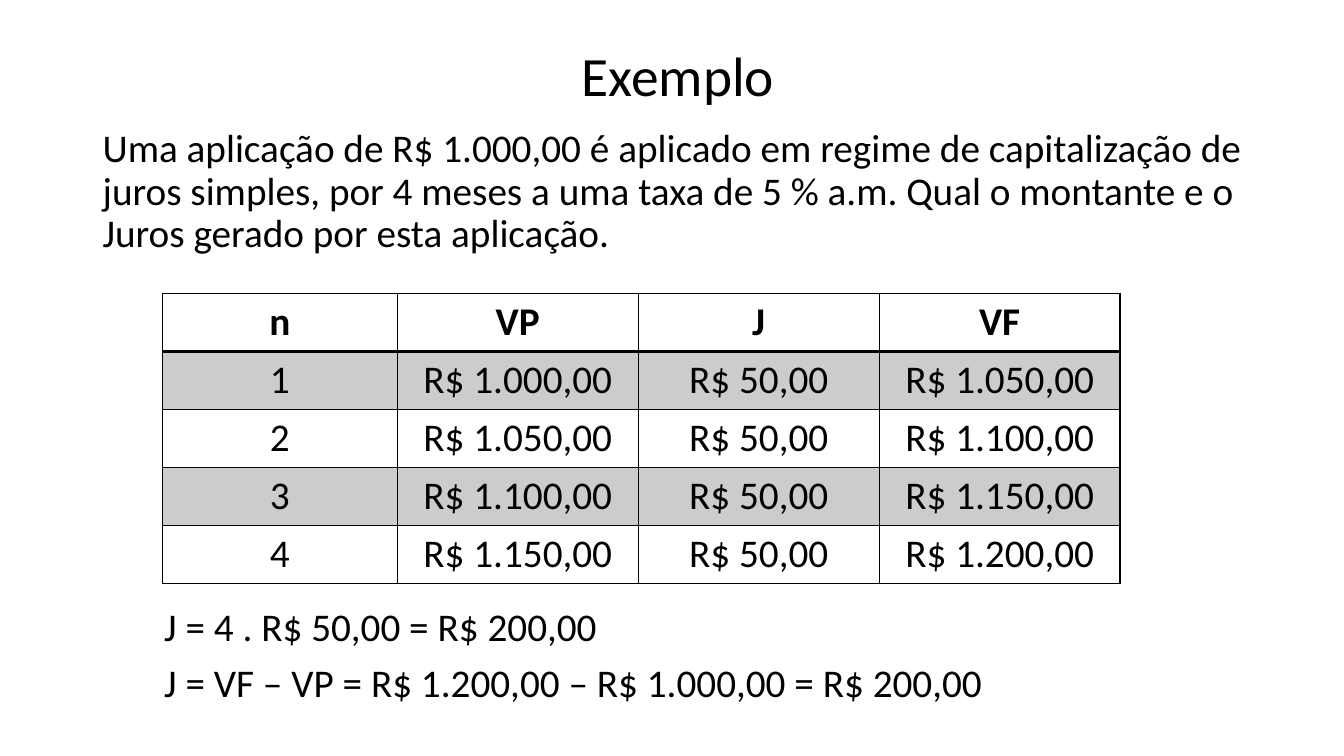
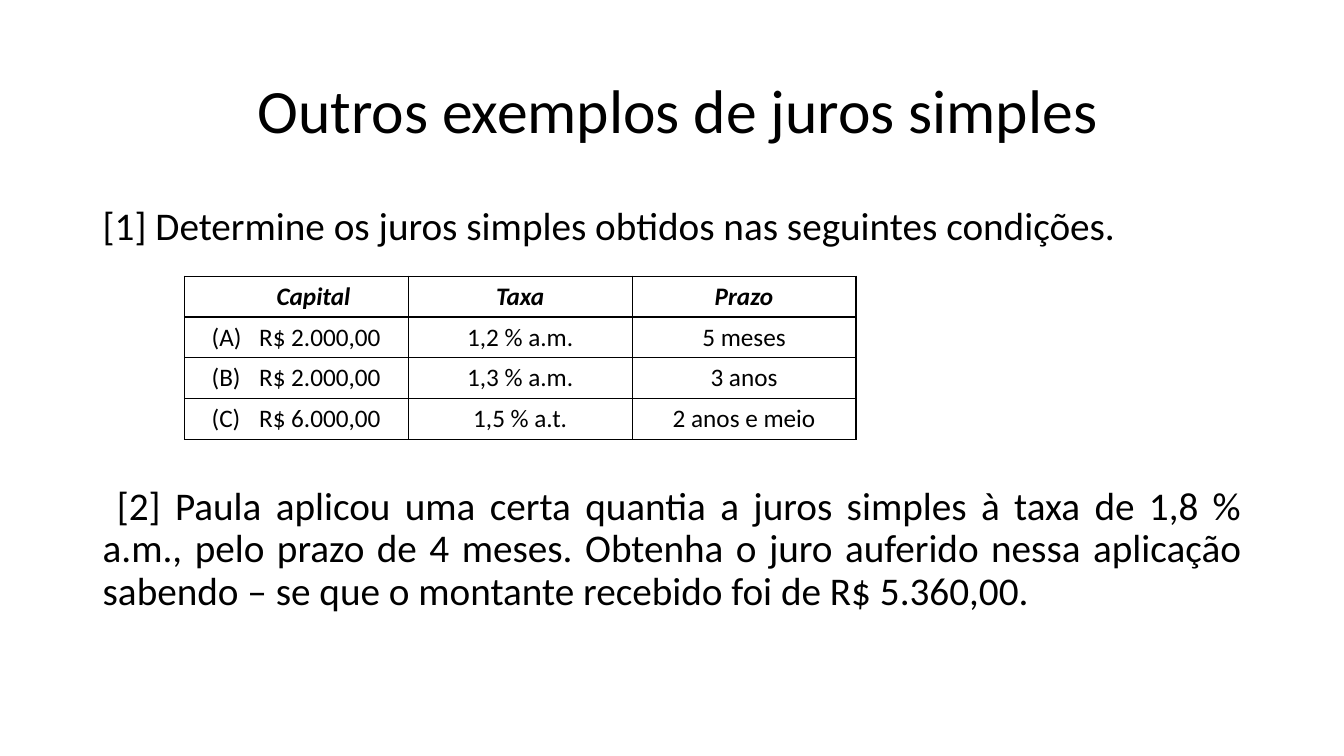
from lxml.etree import SubElement
from pptx import Presentation
from pptx.dml.color import RGBColor
from pptx.enum.text import MSO_ANCHOR, PP_ALIGN
from pptx.oxml.ns import qn
from pptx.util import Inches, Pt

# Shared look
FONT = "Calibri"
INK, BAND = "000000", "CCCCCC"
BODY_SIZE = 28
SLIDE_W, SLIDE_H = 13.33, 7.5
MARGIN = 0.92
CONTENT_W = SLIDE_W - 2 * MARGIN
TITLE_LEFT, TITLE_TOP = 0.98, 0.4


def color(hex_code):
    return RGBColor.from_string(hex_code)


def style_paragraph(paragraph, size, align, **font_values):
    paragraph.alignment = align
    values = {"name": FONT, "size": Pt(size), **font_values}
    for run in paragraph.runs:
        for attribute, value in values.items():
            setattr(run.font, attribute, value)
        run.font.color.rgb = color(INK)


def add_text(slide, box, lines, size=BODY_SIZE, align=PP_ALIGN.LEFT,
             anchor=MSO_ANCHOR.TOP, first_indent=0):
    """Place one paragraph per line inside box (left, top, width, height)."""
    frame = slide.shapes.add_textbox(*map(Inches, box)).text_frame
    frame.word_wrap = True
    frame.vertical_anchor = anchor
    frame.text = "\n".join(lines)
    for paragraph in frame.paragraphs:
        style_paragraph(paragraph, size, align)
        paragraph.line_spacing = 0.9
        paragraph.space_before = Pt(10)
        if first_indent:
            properties = paragraph._p.get_or_add_pPr()
            properties.set("marL", "0")
            properties.set("indent", str(Inches(first_indent)))


def add_title(slide, text, height, size):
    add_text(slide, (TITLE_LEFT, TITLE_TOP, CONTENT_W, height), [text], size,
             PP_ALIGN.CENTER, MSO_ANCHOR.MIDDLE)


def set_borders(cell, bottom_width):
    widths = {"lnL": 1, "lnR": 1, "lnT": 1, "lnB": bottom_width}
    properties = cell._tc.get_or_add_tcPr()
    for side, width in widths.items():
        line = SubElement(properties, qn(f"a:{side}"), w=str(Pt(width)))
        fill = SubElement(line, qn("a:solidFill"))
        SubElement(fill, qn("a:srgbClr"), val=INK)


def add_grid(slide, box, rows, size, column_widths, banded=False,
             italic_header=False):
    """Draw a ruled table; the first row is the bold header."""
    table = slide.shapes.add_table(len(rows), len(rows[0]),
                                   *map(Inches, box)).table
    table.first_row = table.horz_banding = False
    for column, width in zip(table.columns, column_widths):
        column.width = Inches(width)
    for r, row in enumerate(rows):
        header = r == 0
        for c, text in enumerate(row):
            cell = table.cell(r, c)
            cell.text = text
            cell.vertical_anchor = MSO_ANCHOR.TOP
            style_paragraph(cell.text_frame.paragraphs[0], size,
                            PP_ALIGN.CENTER, bold=header,
                            italic=header and italic_header)
            set_borders(cell, 2 if header and banded else 1)
            if banded and r % 2:
                cell.fill.solid()
                cell.fill.fore_color.rgb = color(BAND)
            else:
                cell.fill.background()
    return table


def align_item_column(table, header_margin, item_margin, value_tab):
    """Line up the item letters and the amounts of the first column."""
    table.cell(0, 0).margin_left = Inches(header_margin)
    for r in range(1, len(table.rows)):
        cell = table.cell(r, 0)
        cell.margin_left = Inches(item_margin)
        paragraph = cell.text_frame.paragraphs[0]
        paragraph.alignment = PP_ALIGN.LEFT
        tabs = SubElement(paragraph._p.get_or_add_pPr(), qn("a:tabLst"))
        SubElement(tabs, qn("a:tab"), pos=str(Inches(value_tab)), algn="l")


def build_worked_example(slide):
    add_title(slide, "Exemplo", 0.76, 39.6)
    # Problem statement
    add_text(slide, (MARGIN, 1.23, CONTENT_W, 1.5), [
        "Uma aplicação de R$ 1.000,00 é aplicado em regime de capitalização "
        "de juros simples, por 4 meses a uma taxa de 5 % a.m. Qual o montante "
        "e o Juros gerado por esta aplicação."])
    # Month by month table
    add_grid(slide, (1.61, 2.91, 9.5, 2.88), [
        ("n", "VP", "J", "VF"),
        ("1", "R$ 1.000,00", "R$ 50,00", "R$ 1.050,00"),
        ("2", "R$ 1.050,00", "R$ 50,00", "R$ 1.100,00"),
        ("3", "R$ 1.100,00", "R$ 50,00", "R$ 1.150,00"),
        ("4", "R$ 1.150,00", "R$ 50,00", "R$ 1.200,00"),
    ], BODY_SIZE, [2.33] + [2.39] * 3, banded=True)
    # Total interest
    add_text(slide, (1.53, 5.98, CONTENT_W - 0.61, 1.2), [
        "J = 4 . R$ 50,00 = R$ 200,00",
        "J = VF – VP = R$ 1.200,00 – R$ 1.000,00 = R$ 200,00"])


def build_exercises(slide):
    add_title(slide, "Outros exemplos de juros simples", 1.45, 44)
    # Exercise 1
    add_text(slide, (MARGIN, 2, CONTENT_W, 0.6), [
        "[1] Determine os juros simples obtidos nas seguintes condições."])
    conditions = add_grid(slide, (1.83, 2.74, 6.66, 1.62), [
        ("Capital", "Taxa", "Prazo"),
        ("(A)\tR$ 2.000,00", "1,2 % a.m.", "5 meses"),
        ("(B)\tR$ 2.000,00", "1,3 % a.m.", "3 anos"),
        ("(C)\tR$ 6.000,00", "1,5 % a.t.", "2 anos e meio"),
    ], 18, [2.22] * 3, italic_header=True)
    align_item_column(conditions, 0.44, 0.27, 0.47)
    # Exercise 2
    add_text(slide, (MARGIN, 4.78, CONTENT_W, 1.5), [
        "[2] Paula aplicou uma certa quantia a juros simples à taxa de 1,8 % "
        "a.m., pelo prazo de 4 meses. Obtenha o juro auferido nessa aplicação "
        "sabendo – se que o montante recebido foi de R$ 5.360,00."],
        align=PP_ALIGN.JUSTIFY, first_indent=0.14)


def main():
    deck = Presentation()
    deck.slide_width, deck.slide_height = Inches(SLIDE_W), Inches(SLIDE_H)
    blank = deck.slide_layouts[6]
    for build in (build_worked_example, build_exercises):
        build(deck.slides.add_slide(blank))
    deck.save("out.pptx")


if __name__ == "__main__":
    main()
